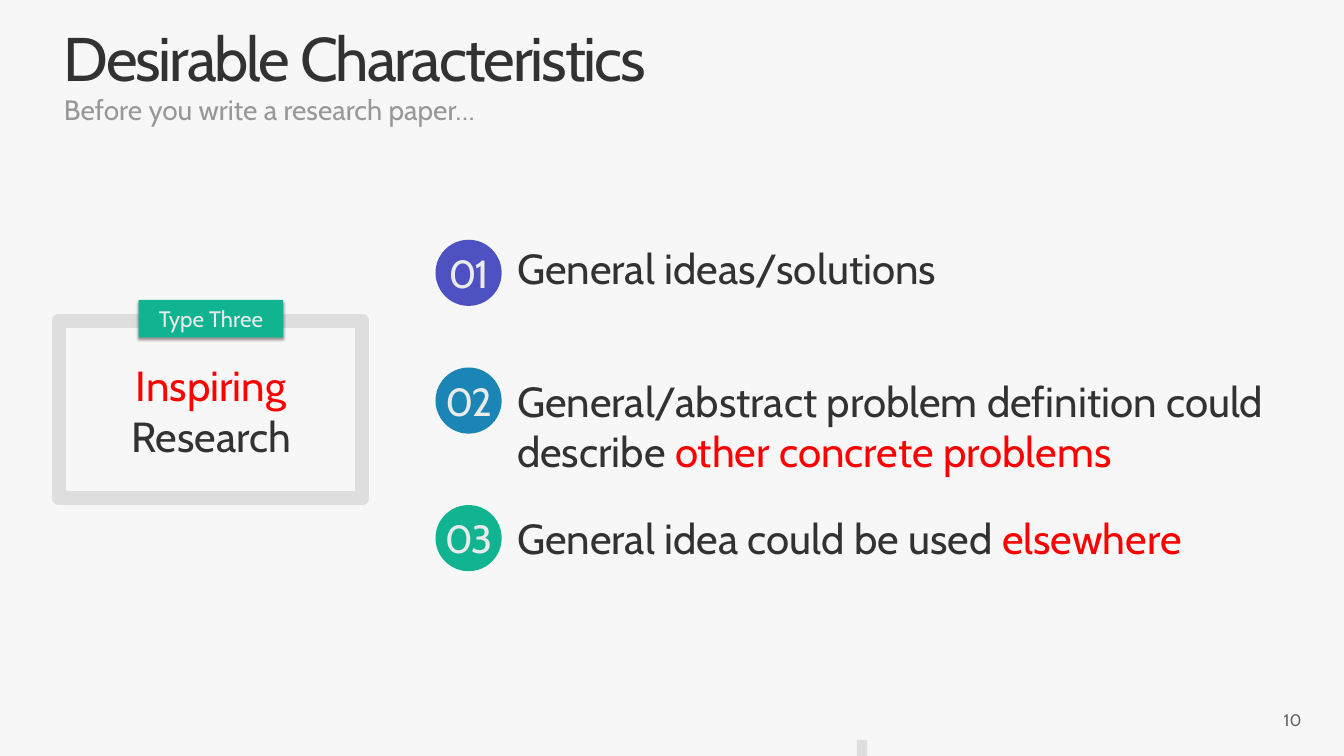
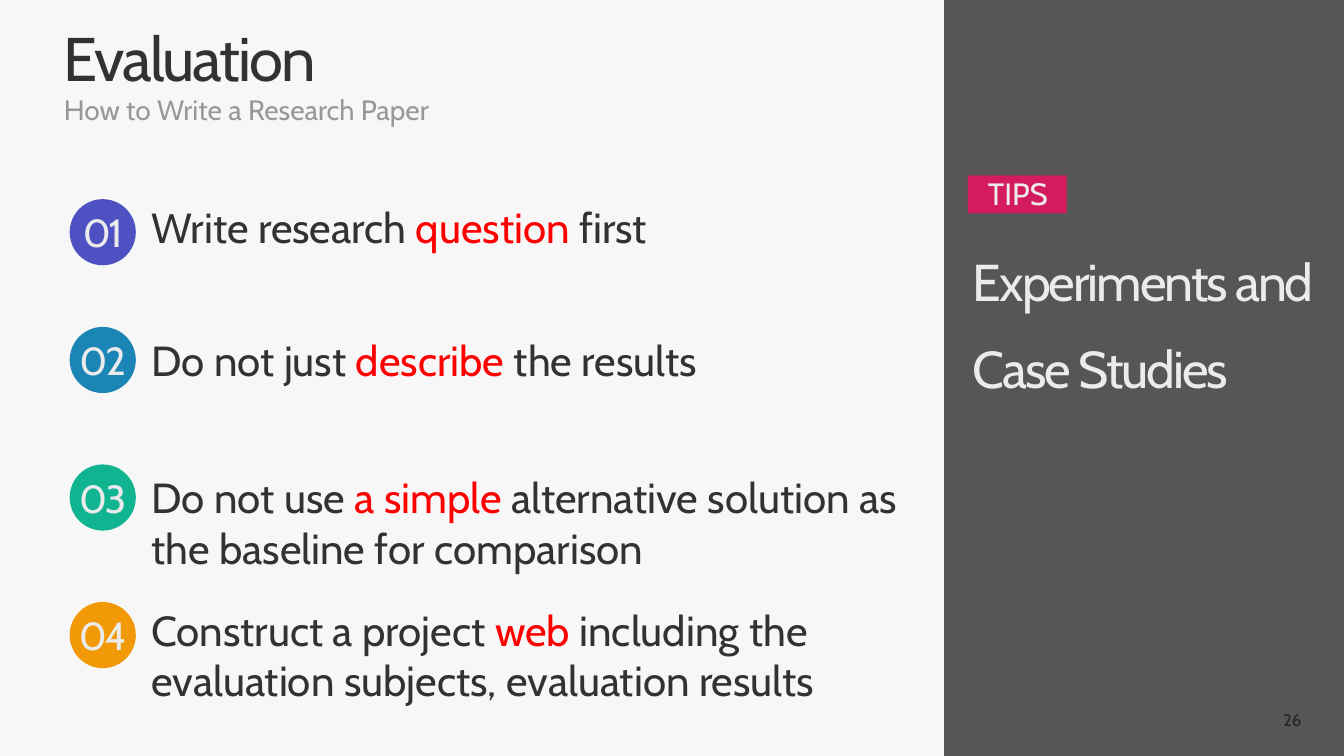
"""Build two slides on research writing: numbered points beside a topic label."""
from dataclasses import dataclass

from lxml import etree
from pptx import Presentation
from pptx.dml.color import RGBColor
from pptx.enum.shapes import MSO_SHAPE
from pptx.enum.text import MSO_ANCHOR, MSO_AUTO_SIZE, PP_ALIGN
from pptx.oxml.ns import qn
from pptx.util import Pt

RECTANGLE, OVAL = MSO_SHAPE.RECTANGLE, MSO_SHAPE.OVAL
TOP, MIDDLE, BOTTOM = MSO_ANCHOR.TOP, MSO_ANCHOR.MIDDLE, MSO_ANCHOR.BOTTOM
LEFT, CENTER, RIGHT = PP_ALIGN.LEFT, PP_ALIGN.CENTER, PP_ALIGN.RIGHT
GROW, FIXED = MSO_AUTO_SIZE.SHAPE_TO_FIT_TEXT, MSO_AUTO_SIZE.NONE

FONT = "Cabin"
PAPER, INK, MUTED, PAGE_GREY = "F7F7F7", "323232", "989898", "656565"
FRAME, LIGHT, ACCENT, BLACK = "DEDEDE", "EBEBEB", "FF0000", "000000"
INDIGO, BLUE, GREEN, ORANGE, PINK = "4E51C2", "1B85B5", "10B491", "F29908", "D31B5D"
BADGE_COLORS = (INDIGO, BLUE, GREEN, ORANGE)

SLIDE_WIDTH, SLIDE_HEIGHT = 1919.5, 1080
BADGE_SIZE = 94.5
BADGE_TO_TEXT = 109.5
BADGE_STEPS = (0, 182.5, 379, 575.5)
LINE_HEIGHT, TEXT_PADDING = 72.5, 7.5
TIGHT = -3


@dataclass(frozen=True)
class Box:
    """Position and size in points."""

    left: float
    top: float
    width: float
    height: float

    def lengths(self) -> tuple:
        """Return the four lengths for a shape call."""
        return Pt(self.left), Pt(self.top), Pt(self.width), Pt(self.height)


@dataclass(frozen=True)
class Style:
    """Look of a text; parts between bars take the accent colour."""

    size: float
    color: str
    align: PP_ALIGN = LEFT
    anchor: MSO_ANCHOR = TOP
    line_spacing: float = 1
    tracking: float = 0
    auto_size: MSO_AUTO_SIZE = FIXED
    wrap: bool = True
    insets: tuple = (7.2, 3.6, 7.2, 3.6)


@dataclass(frozen=True)
class Point:
    """One numbered statement, its line count and its drop below the badge top."""

    text: str
    lines: int = 1
    drop: float = 0


TITLE = Style(88, INK, anchor=BOTTOM, line_spacing=0.9, tracking=TIGHT)
SUBTITLE = Style(40, MUTED, line_spacing=0.9)
PAGE_NUMBER = Style(24, PAGE_GREY, RIGHT, MIDDLE)
STATEMENT = Style(60, INK, auto_size=GROW)
BADGE = Style(56, LIGHT, CENTER, MIDDLE, tracking=TIGHT, wrap=False, insets=(0, 0, 0, 0))
CARD_TEXT = Style(60, INK, CENTER, auto_size=GROW)
CARD_TAG = Style(32, LIGHT, CENTER, auto_size=GROW, insets=(14.4, 7.2, 14.4, 7.2))
TIPS_TAG = Style(44, LIGHT, CENTER, MIDDLE, 0.8, auto_size=GROW, insets=(8.6, 8.6, 7.2, 3.6))
TIPS_TEXT = Style(74, LIGHT, line_spacing=1.4, tracking=TIGHT)

TITLE_BOX = Box(84, 32.5, 1753, 106.5)
SUBTITLE_BOX = Box(84, 134, 1753, 44)
PAGE_BOX = Box(1434, 1000, 432, 57.5)

CHARACTERISTICS = (
    Point("General ideas/solutions"),
    Point("General/abstract problem definition could describe |other concrete problems|", 2, 7.2),
    Point("General idea could be used |elsewhere|", 1, 7.2),
)
EVALUATION_TIPS = (
    Point("Write research |question |first"),
    Point("Do not just |describe| the results", 1, 7.2),
    Point("Do not use |a simple |alternative solution as the baseline for comparison", 2, 7.2),
    Point("Construct a project |web| including the evaluation subjects, evaluation results", 2),
)


def rgb(color: str) -> RGBColor:
    """Turn a hex string into a colour."""
    return RGBColor.from_string(color)


def write(holder, text: str, style: Style) -> None:
    """Put styled text into a shape, accenting the parts between bars."""
    frame = holder.text_frame
    frame.word_wrap = style.wrap
    frame.auto_size = style.auto_size
    frame.vertical_anchor = style.anchor
    frame.margin_left, frame.margin_top, frame.margin_right, frame.margin_bottom = map(
        Pt, style.insets
    )
    paragraph = frame.paragraphs[0]
    paragraph.alignment = style.align
    paragraph.line_spacing = style.line_spacing
    paragraph.space_before = Pt(0)
    for index, part in enumerate(text.split("|")):
        if not part:
            continue
        run = paragraph.add_run()
        run.text = part
        run.font.name = FONT
        run.font.size = Pt(style.size)
        run.font.color.rgb = rgb(ACCENT if index % 2 else style.color)
        if style.tracking:
            run._r.get_or_add_rPr().set("spc", str(style.tracking * 100))


def add_text(shapes, box: Box, text: str, style: Style) -> None:
    """Add a text box."""
    write(shapes.add_textbox(*box.lengths()), text, style)


def add_filled(shapes, kind: MSO_SHAPE, box: Box, color: str):
    """Add a flat, borderless shape."""
    shape = shapes.add_shape(kind, *box.lengths())
    shape.shadow.inherit = False
    shape.fill.solid()
    shape.fill.fore_color.rgb = rgb(color)
    shape.line.fill.background()
    return shape


def set_alpha(color_element, percent: int) -> None:
    """Set the opacity of a colour element."""
    etree.SubElement(color_element, qn("a:alpha")).set("val", str(percent * 1000))


def drop_shadow(shape) -> None:
    """Give a shape a soft shadow straight below it."""
    effects = shape._element.spPr.find(qn("a:effectLst"))
    shadow = etree.SubElement(effects, qn("a:outerShdw"))
    for key, value in (("blurRad", Pt(4)), ("dist", Pt(3)), ("dir", 90 * 60000)):
        shadow.set(key, str(int(value)))
    shadow.set("rotWithShape", "0")
    color = etree.SubElement(shadow, qn("a:srgbClr"))
    color.set("val", BLACK)
    set_alpha(color, 40)


def place(placeholder, box: Box, text: str, style: Style) -> None:
    """Move a template placeholder and fill it without a bullet."""
    placeholder.left, placeholder.top, placeholder.width, placeholder.height = box.lengths()
    properties = placeholder.text_frame.paragraphs[0]._p.get_or_add_pPr()
    properties.set("marL", "0")
    properties.set("indent", "0")
    etree.SubElement(properties, qn("a:buNone"))
    write(placeholder, text, style)


def add_slide(deck, title: str, subtitle: str, number: int):
    """Add a slide with its heading and page number and return its shapes."""
    slide = deck.slides.add_slide(deck.slide_layouts[1])
    place(slide.shapes.title, TITLE_BOX, title, TITLE)
    place(slide.placeholders[1], SUBTITLE_BOX, subtitle, SUBTITLE)
    add_text(slide.shapes, PAGE_BOX, str(number), PAGE_NUMBER)
    return slide.shapes


def add_points(shapes, left: float, top: float, width: float, points: tuple) -> None:
    """Draw numbered badges with a statement beside each."""
    rows = zip(points, BADGE_STEPS, BADGE_COLORS)
    for number, (point, step, color) in enumerate(rows, start=1):
        badge_box = Box(left, top + step, BADGE_SIZE, BADGE_SIZE)
        write(add_filled(shapes, OVAL, badge_box, color), f"{number:02}", BADGE)
        height = point.lines * LINE_HEIGHT + TEXT_PADDING
        text_box = Box(left + BADGE_TO_TEXT, top + step + point.drop, width, height)
        add_text(shapes, text_box, point.text, STATEMENT)


def add_card(shapes) -> None:
    """Draw the framed topic card with its tag."""
    card = shapes.add_group_shape().shapes
    frame = card.add_shape(RECTANGLE, *Box(84, 458, 433.5, 254).lengths())
    frame.shadow.inherit = False
    frame.fill.background()
    frame.line.color.rgb = rgb(FRAME)
    frame.line.width = Pt(20)
    add_text(card, Box(109.5, 510.5, 384, 152.5), "|Inspiring |Research", CARD_TEXT)
    tag = add_filled(card, RECTANGLE, Box(198, 428.5, 206.5, 53.5), GREEN)
    drop_shadow(tag)
    write(tag, "Type Three", CARD_TAG)


def add_tips_panel(shapes) -> None:
    """Draw the dark side panel with its tag and topic."""
    panel = add_filled(shapes, RECTANGLE, Box(1348.5, 0, 572.5, SLIDE_HEIGHT), BLACK)
    set_alpha(panel._element.spPr.find(qn("a:solidFill"))[0], 65)
    add_text(shapes, Box(1382.5, 317, 504.5, 397.5), "Experiments and Case Studies", TIPS_TEXT)
    tag = add_filled(shapes, RECTANGLE, Box(1382.5, 250.5, 141, 54.5), PINK)
    write(tag, "TIPS", TIPS_TAG)


def main() -> None:
    """Build and save the deck."""
    deck = Presentation()
    deck.slide_width, deck.slide_height = Pt(SLIDE_WIDTH), Pt(SLIDE_HEIGHT)
    background = deck.slide_master.background.fill
    background.solid()
    background.fore_color.rgb = rgb(PAPER)

    characteristics = add_slide(
        deck, "Desirable Characteristics", "Before you write a research paper…", 10
    )
    add_card(characteristics)
    add_points(characteristics, 622, 342.5, 1089.5, CHARACTERISTICS)
    add_filled(characteristics, RECTANGLE, Box(1224, 1057, 14.4, 28.8), FRAME)

    evaluation = add_slide(deck, "Evaluation", "How to Write a Research Paper", 26)
    add_points(evaluation, 99.5, 284.5, 1107.5, EVALUATION_TIPS)
    add_tips_panel(evaluation)

    deck.save("out.pptx")


if __name__ == "__main__":
    main()
